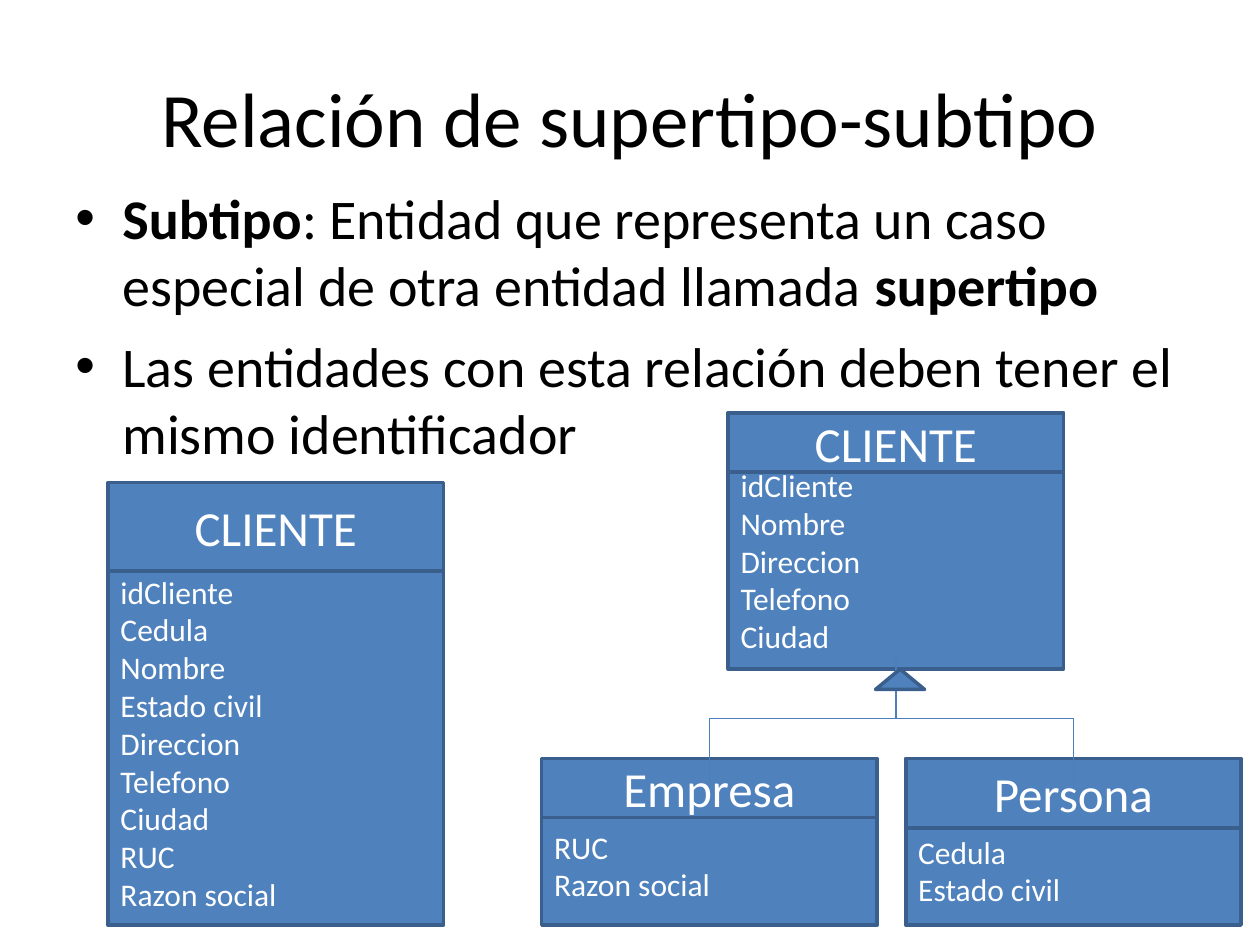
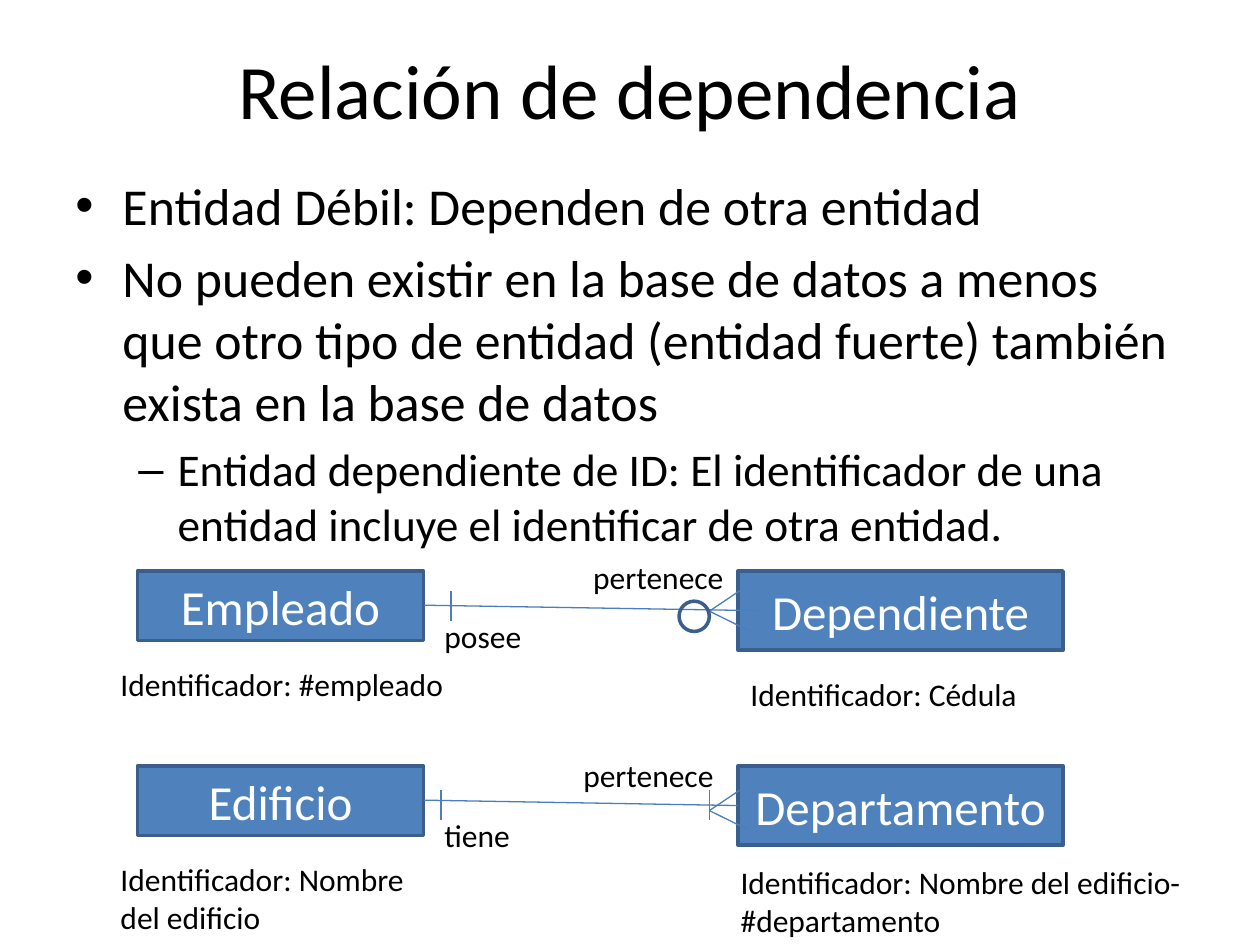
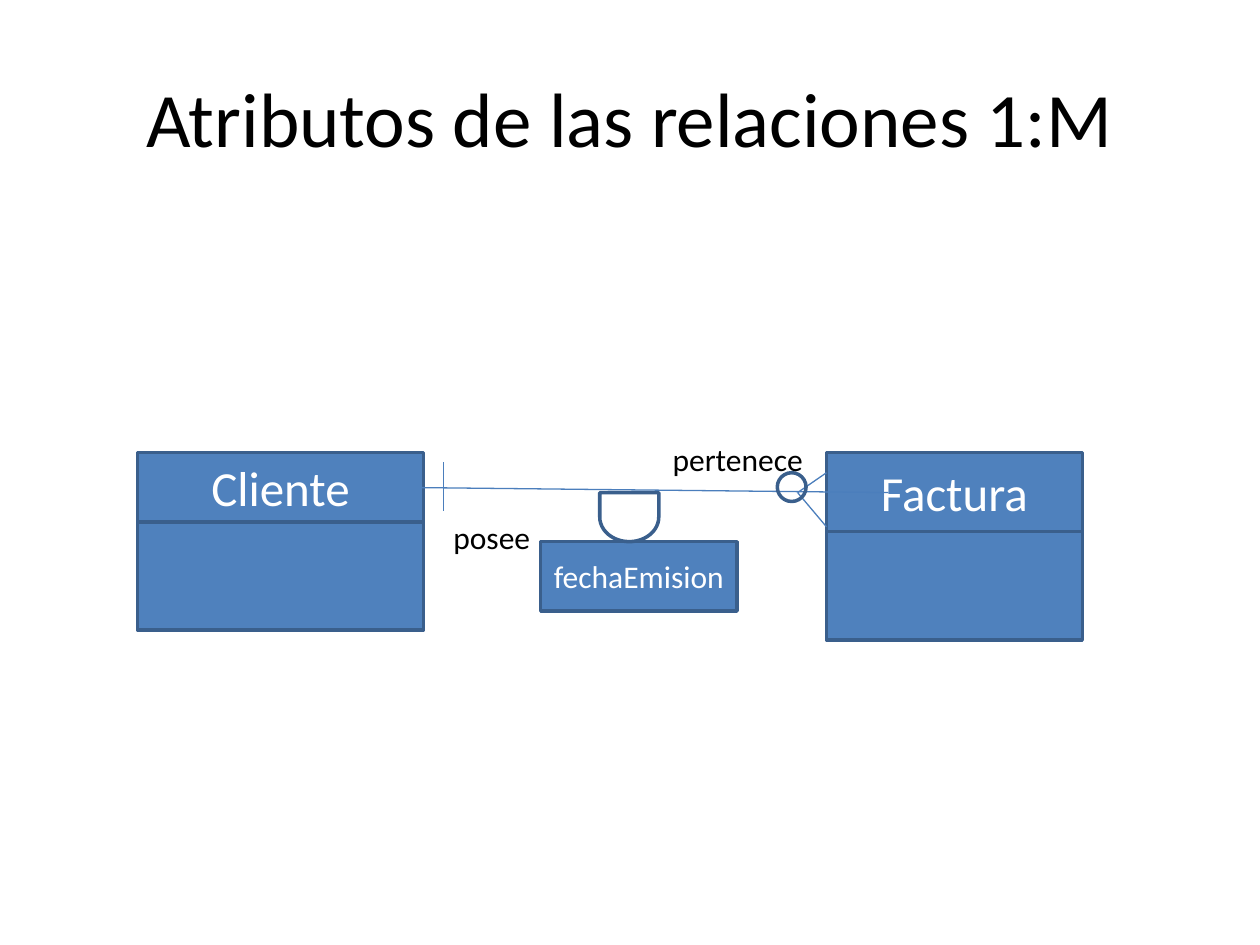
from lxml import etree
from pptx import Presentation
from pptx.dml.color import RGBColor
from pptx.enum import shapes, text
from pptx.oxml import ns
from pptx.util import Cm, Pt

FONT = "Calibri"
COLORS = {"text": "000000", "light": "FFFFFF", "box": "4F81BD", "edge": "3A5F8C", "link": "4B7EBC"}
KINDS = shapes.MSO_SHAPE
CENTER, LEFT = text.PP_ALIGN.CENTER, text.PP_ALIGN.LEFT
MIDDLE, TOP = text.MSO_ANCHOR.MIDDLE, text.MSO_ANCHOR.TOP
MARGIN, WIDTH, TITLE_HEIGHT = 1.27, 22.86, 3.18
BULLETS = {0: ("•", 0.95, 0.95), 1: ("–", 2.06, 0.79)}
ATTRIBUTE_INSET = 0.9

SUBTYPE = {
    "title": "Relación de supertipo-subtipo",
    "title_top": 0.76,
    "points_top": 3.58,
    "points_height": 6.27,
    "gap": 7.4,
    "points": [
        (0, 32, [("Subtipo", True),
                 (": Entidad que representa un caso especial de otra entidad llamada ", False),
                 ("supertipo", True)]),
        (0, 32, "Las entidades con esta relación deben tener el mismo identificador"),
    ],
}
ENTITY_WIDTH = 6.76
CLIENT = ("CLIENTE", 2.18, 9.73, 1.78, 10.52, 18.65,
          ["idCliente", "Cedula", "Nombre", "Estado civil", "Direccion", "Telefono",
           "Ciudad", "RUC", "Razon social"])
SUPERTYPE = ("CLIENTE", 14.68, 8.33, 1.19, 8.33, 13.49,
             ["idCliente", "Nombre", "Direccion", "Telefono", "Ciudad"])
SUBTYPES = [
    ("Empresa", 10.92, 15.29, 1.19, 15.47, 18.65, ["RUC", "Razon social"]),
    ("Persona", 18.26, 15.29, 1.4, 15.67, 18.65, ["Cedula", "Estado civil"]),
]
TRUNK_TOP, BRANCH_TOP, BRANCH_BOTTOM = 13.28, 14.48, 15.88

DEPENDENCY = {
    "title": "Relación de dependencia",
    "title_top": 0.2,
    "points_top": 3.38,
    "points_height": 7.75,
    "gap": 5.4,
    "points": [
        (0, 29.6, "Entidad Débil: Dependen de otra entidad"),
        (0, 29.6, "No pueden existir en la base de datos a menos que otro tipo de entidad "
                  "(entidad fuerte) también exista en la base de datos"),
        (1, 25.9, "Entidad dependiente de ID: El identificador de una entidad incluye "
                  "el identificar de otra entidad."),
    ],
}
STRONG_X, STRONG_SIZE = 2.77, (5.77, 1.4)
WEAK_X, WEAK_SIZE = 14.88, (6.55, 1.6)
FOOT_X, TICK_HEIGHT = 14.3, 0.61
RELATIONS = [
    {"top": 11.51, "strong": "Empleado", "weak": "Dependiente", "link_end": 15.29,
     "foot_top": 0.4, "tick": 9.09, "optional": True,
     "labels": [("Identificador: #empleado", 2.18, 13.28, 7.14),
                ("Identificador: Cédula", 14.88, 13.49, 7.14),
                ("posee", 8.71, 12.32, 2.79),
                ("pertenece", 11.71, 11.13, 4.19)]},
    {"top": 15.44, "strong": "Edificio", "weak": "Departamento", "link_end": 14.88,
     "foot_top": 0.49, "tick": 8.89, "optional": False,
     "labels": [("Identificador: Nombre del edificio", 2.18, 17.22, 7.14),
                ("Identificador: Nombre del edificio-#departamento", 14.68, 17.27, 10.52),
                ("tiene", 8.71, 16.33, 4.19),
                ("pertenece", 11.51, 15.11, 4.19)]},
]

ATTRIBUTES = {"title": "Atributos de las relaciones 1:M", "title_top": 0.76}
SALE_TOP, SALE_BODY = 9.12, 2.18
SALE_ENTITIES = [("Cliente", 2.77, 5.77, 1.4), ("Factura", 16.66, 5.16, 1.6)]
SALE_LABELS = [("posee", 8.89, 10.31, 2.39), ("pertenece", 13.31, 8.74, 3.4)]


def color(name):
    return RGBColor.from_string(COLORS[name])


def write(frame, content, size=18, ink="text", align=LEFT, anchor=TOP, wrap=True):
    frame.word_wrap = wrap
    frame.vertical_anchor = anchor
    lines = content if isinstance(content, list) else [content]
    for index, line in enumerate(lines):
        paragraph = frame.paragraphs[0] if index == 0 else frame.add_paragraph()
        paragraph.alignment = align
        for words, bold in [(line, False)] if isinstance(line, str) else line:
            run = paragraph.add_run()
            run.text = words
            run.font.name, run.font.size, run.font.bold = FONT, Pt(size), bold
            run.font.color.rgb = color(ink)


def add_label(slide, words, x, y, width):
    label = slide.shapes.add_textbox(Cm(x), Cm(y), Cm(width), Cm(1.02))
    write(label.text_frame, words)


def add_box(slide, x, y, width, height, words=None, kind=KINDS.RECTANGLE, filled=True, **style):
    box = slide.shapes.add_shape(kind, Cm(x), Cm(y), Cm(width), Cm(height))
    box.shadow.inherit = False
    if filled:
        box.fill.solid()
        box.fill.fore_color.rgb = color("box")
    else:
        box.fill.background()
    box.line.color.rgb = color("edge")
    box.line.width = Pt(2)
    if words:
        write(box.text_frame, words, **{"size": 28, "ink": "light", "align": CENTER,
                                        "anchor": MIDDLE, **style})
    return box


def add_link(slide, *points):
    for start, end in zip(points, points[1:]):
        link = slide.shapes.add_connector(shapes.MSO_CONNECTOR.STRAIGHT,
                                          *map(Cm, start + end))
        link.line.color.rgb = color("link")
        link.line.width = Pt(0.75)
        etree.SubElement(link._element.spPr, ns.qn("a:effectLst"))


def add_tick(slide, x, y, height):
    add_link(slide, (x, y), (x, y + height))


def add_entity(slide, name, x, top, name_height, body_top, bottom, attributes):
    body = add_box(slide, x, body_top, ENTITY_WIDTH, bottom - body_top, attributes,
                   size=18, align=LEFT)
    body.text_frame.margin_top = Cm(ATTRIBUTE_INSET)
    add_box(slide, x, top, ENTITY_WIDTH, name_height, name)


def add_points(slide, content):
    body = slide.shapes.add_textbox(Cm(MARGIN), Cm(content["points_top"]), Cm(WIDTH),
                                    Cm(content["points_height"]))
    frame = body.text_frame
    sizes = [size for _, size, _ in content["points"]]
    write(frame, [words for _, _, words in content["points"]], size=sizes[0])
    for index, (paragraph, (level, size, _)) in enumerate(zip(frame.paragraphs, content["points"])):
        mark, indent, hang = BULLETS[level]
        properties = paragraph._p.get_or_add_pPr()
        properties.set("marL", str(Cm(indent)))
        properties.set("indent", str(-Cm(hang)))
        etree.SubElement(properties, ns.qn("a:buFont"), typeface="Arial")
        etree.SubElement(properties, ns.qn("a:buChar"), char=mark)
        paragraph.level = level
        if index:
            paragraph.space_before = Pt(content["gap"])
        for run in paragraph.runs:
            run.font.size = Pt(size)


def add_slide(deck, content):
    slide = deck.slides.add_slide(deck.slide_layouts.get_by_name("Title Only"))
    title = slide.shapes.title
    title.left, title.top = Cm(MARGIN), Cm(content["title_top"])
    title.width, title.height = Cm(WIDTH), Cm(TITLE_HEIGHT)
    write(title.text_frame, content["title"], size=44, align=CENTER, anchor=MIDDLE)
    if "points" in content:
        add_points(slide, content)
    return slide


def build_subtype(deck):
    slide = add_slide(deck, SUBTYPE)
    for entity in [CLIENT, SUPERTYPE, *SUBTYPES]:
        add_entity(slide, *entity)
    trunk = SUPERTYPE[1] + ENTITY_WIDTH / 2
    add_link(slide, (trunk, TRUNK_TOP), (trunk, BRANCH_TOP))
    for subtype in SUBTYPES:
        branch = subtype[1] + ENTITY_WIDTH / 2
        add_link(slide, (trunk, BRANCH_TOP), (branch, BRANCH_TOP), (branch, BRANCH_BOTTOM))
    add_box(slide, 17.65, SUPERTYPE[5], 0.99, 0.41, kind=KINDS.ISOSCELES_TRIANGLE)


def build_dependency(deck):
    slide = add_slide(deck, DEPENDENCY)
    for relation in RELATIONS:
        top = relation["top"]
        foot = top + relation["foot_top"]
        add_box(slide, STRONG_X, top, *STRONG_SIZE, relation["strong"])
        add_box(slide, WEAK_X, top, *WEAK_SIZE, relation["weak"])
        add_link(slide, (STRONG_X + STRONG_SIZE[0], top + 0.69), (relation["link_end"], top + 0.8))
        add_link(slide, (14.91, foot), (FOOT_X, foot + 0.41), (15.09, foot + 0.8))
        add_tick(slide, relation["tick"], foot, TICK_HEIGHT)
        if relation["optional"]:
            add_box(slide, FOOT_X - 0.61, top + 0.61, 0.61, 0.61, kind=KINDS.OVAL, filled=False)
        else:
            add_tick(slide, FOOT_X, foot, TICK_HEIGHT)
        for label in relation["labels"]:
            add_label(slide, *label)


def build_attributes(deck):
    slide = add_slide(deck, ATTRIBUTES)
    for name, x, width, height in SALE_ENTITIES:
        add_box(slide, x, SALE_TOP, width, height, name)
        add_box(slide, x, SALE_TOP + height, width, SALE_BODY)
    add_link(slide, (8.51, 9.83), (17.91, 9.93))
    add_tick(slide, 8.94, 9.32, 0.99)
    add_link(slide, (16.66, 9.53), (16.08, 9.93), (16.66, 10.62))
    add_box(slide, 15.67, 9.53, 0.58, 0.58, kind=KINDS.OVAL, filled=False)
    add_box(slide, 10.9, 10.92, 3.96, 1.4, "fechaEmision", size=18)
    for label in SALE_LABELS:
        add_label(slide, *label)
    holder = add_box(slide, 12.19, 9.83, 0.99, 1.19, kind=KINDS.FLOWCHART_DELAY, filled=False)
    holder.rotation = 90


def main():
    deck = Presentation()
    deck.slide_width, deck.slide_height = Cm(25.4), Cm(19.05)
    build_subtype(deck)
    build_dependency(deck)
    build_attributes(deck)
    deck.save("out.pptx")


if __name__ == "__main__":
    main()
